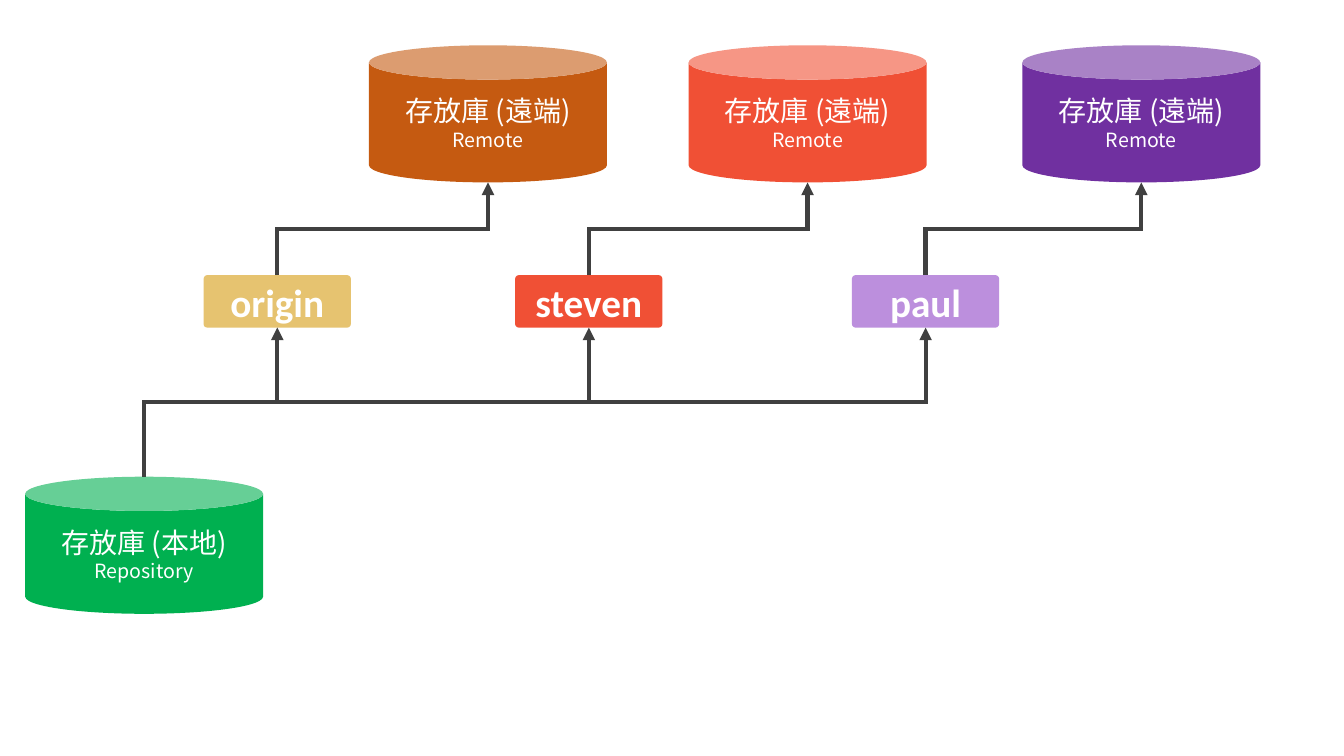
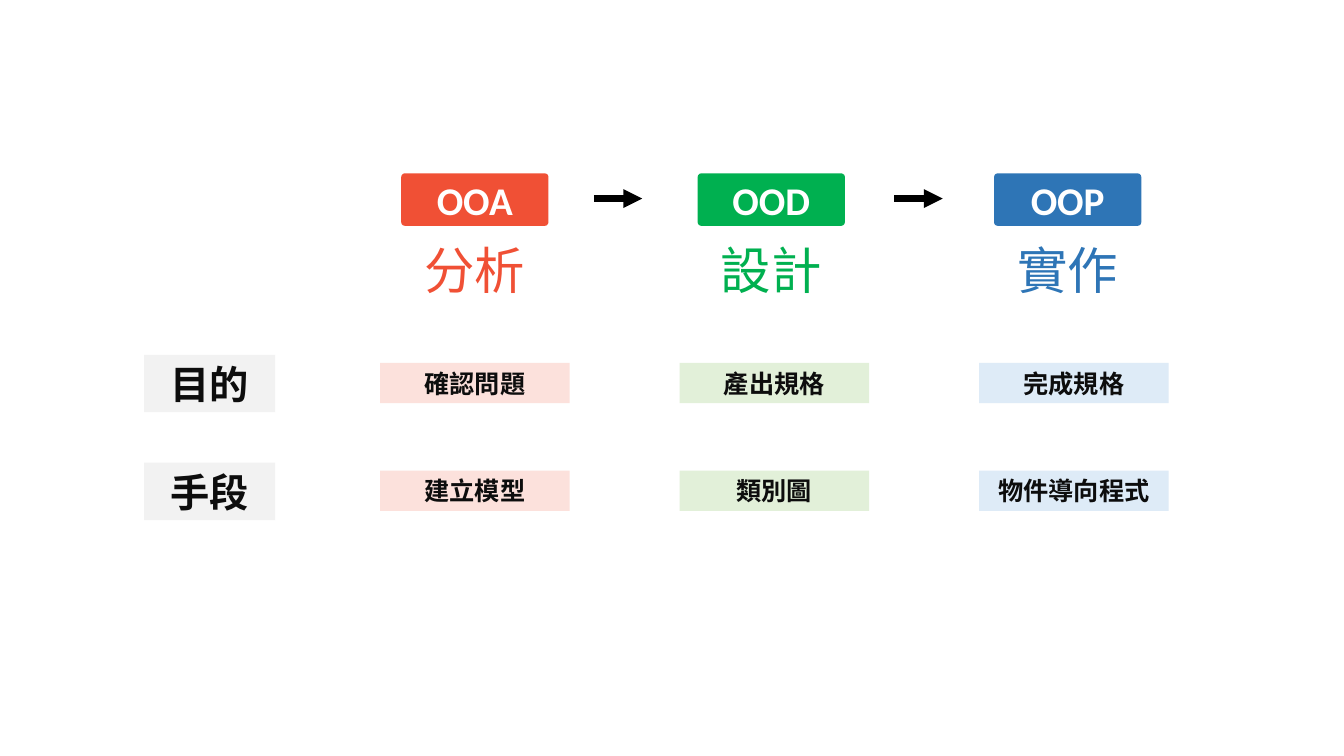
from lxml.etree import SubElement
from pptx import Presentation
from pptx.dml.color import RGBColor
from pptx.enum.shapes import MSO_CONNECTOR, MSO_SHAPE
from pptx.enum.text import MSO_ANCHOR, PP_ALIGN
from pptx.oxml.ns import qn
from pptx.util import Inches, Pt

COLORS = {
    "white": "FFFFFF", "ink": "0D0D0D", "black": "000000", "wire": "404040",
    "red": "F05035", "green": "00B050", "blue": "2E75B6",
    "brown": "C55A11", "gold": "E6C370", "purple": "7030A0", "lilac": "BC8FDD",
    "pale_gray": "F2F2F2", "pale_red": "FCE1DC",
    "pale_green": "E2F0D9", "pale_blue": "DEEBF7",
}
CJK_FONT = "Noto Sans CJK TC"
CAN_WIDTH, CAN_HEIGHT = 2.36, 1.36
TAG_WIDTH, TAG_HEIGHT = 1.46, 0.52

REMOTES = [
    ("origin", "gold", 2.02, "brown", 3.66),
    ("steven", "red", 5.11, "red", 6.83),
    ("paul", "lilac", 8.45, "purple", 10.14),
]
STAGES = [
    ("OOA", "分析", "red", "pale_red"),
    ("OOD", "設計", "green", "pale_green"),
    ("OOP", "實作", "blue", "pale_blue"),
]
ROWS = [
    ("目的", ["確認問題", "產出規格", "完成規格"]),
    ("手段", ["建立模型", "類別圖", "物件導向程式"]),
]


def rgb(name):
    """Look up a palette colour."""
    return RGBColor.from_string(COLORS[name])


def write_text(shape, text, sizes, color, font=CJK_FONT, bold=False):
    """Fill a shape with centred text, one size for each line."""
    frame = shape.text_frame
    frame.word_wrap = True
    frame.vertical_anchor = MSO_ANCHOR.MIDDLE
    para = frame.paragraphs[0]
    para.text = text
    para.alignment = PP_ALIGN.CENTER
    for span, size in zip(para.runs, sizes):
        span.font.size = Pt(size)
        span.font.bold = bold
        span.font.name = font
        span.font.color.rgb = rgb(color)
        east_asian = SubElement(span.font._element, qn("a:ea"))
        east_asian.set("typeface", CJK_FONT)


def add_block(page, kind, left, top, width, height, fill):
    """Add a flat shape without outline or shadow."""
    block = page.shapes.add_shape(
        kind, Inches(left), Inches(top), Inches(width), Inches(height))
    block.shadow.inherit = False
    block.fill.solid()
    block.fill.fore_color.rgb = rgb(fill)
    block.line.fill.background()
    return block


def add_can(page, left, top, fill, title, subtitle):
    """Add a repository cylinder."""
    can = add_block(page, MSO_SHAPE.CAN, left, top, CAN_WIDTH, CAN_HEIGHT, fill)
    write_text(can, f"{title}\v{subtitle}", [20, 14], "white")


def add_tag(page, left, top, fill, text):
    """Add a rounded name tag."""
    tag = add_block(page, MSO_SHAPE.ROUNDED_RECTANGLE,
                    left, top, TAG_WIDTH, TAG_HEIGHT, fill)
    tag.adjustments[0] = 0.067
    write_text(tag, text, [28], "white", "Calibri", True)


def add_arrow(page, kind, start, end, color, width):
    """Add a connector with a triangle head at its end."""
    arrow = page.shapes.add_connector(
        kind, *(Inches(value) for value in (*start, *end)))
    arrow.line.color.rgb = rgb(color)
    arrow.line.width = Pt(width)
    properties = arrow._element.spPr
    outline = properties.find(qn("a:ln"))
    SubElement(outline, qn("a:miter")).set("lim", "800000")
    SubElement(outline, qn("a:tailEnd")).set("type", "triangle")
    SubElement(properties, qn("a:effectLst"))
    return arrow


def add_riser(page, start, end):
    """Add an elbow arrow that leaves upward and arrives upward."""
    middle_x, middle_y = (start[0] + end[0]) / 2, (start[1] + end[1]) / 2
    half_run, half_rise = (end[0] - start[0]) / 2, (start[1] - end[1]) / 2
    riser = add_arrow(page, MSO_CONNECTOR.ELBOW,
                      (middle_x + half_rise, middle_y + half_run),
                      (middle_x - half_rise, middle_y - half_run), "wire", 3)
    riser._element.spPr.find(qn("a:xfrm")).set("rot", "5400000")


def build_remotes(page, left, top):
    """Draw a local repository linked to its named remotes."""
    tag_top, local_top = top + 2.28, top + 4.28
    local_center = left + CAN_WIDTH / 2
    add_can(page, left, local_top, "green", "存放庫 (本地)", "Repository")
    for name, tag_fill, tag_left, can_fill, can_left in REMOTES:
        tag_center = tag_left + TAG_WIDTH / 2
        can_center = can_left + CAN_WIDTH / 2
        add_can(page, can_left, top, can_fill, "存放庫 (遠端)", "Remote")
        add_tag(page, tag_left, tag_top, tag_fill, name)
        add_riser(page, (local_center, local_top),
                  (tag_center, tag_top + TAG_HEIGHT))
        add_riser(page, (tag_center, tag_top), (can_center, top + CAN_HEIGHT))


def build_stage_heads(page, left, top):
    """Draw the three stages with arrows between them."""
    for index, (name, meaning, color, _) in enumerate(STAGES):
        tag_left = left + 2.94 * index
        add_tag(page, tag_left, top, color, name)
        caption = page.shapes.add_textbox(
            Inches(tag_left), Inches(top + 0.6), Inches(TAG_WIDTH), Inches(0.71))
        write_text(caption, meaning, [36], color)
        if index:
            arrow_left = left + 1.91 + 2.98 * (index - 1)
            add_arrow(page, MSO_CONNECTOR.STRAIGHT, (arrow_left, top + 0.25),
                      (arrow_left + 0.48, top + 0.25), "black", 4.5)


def build_stage_rows(page, left, top):
    """Draw the labelled rows below the stages."""
    for row, (heading, entries) in enumerate(ROWS):
        row_top = top + 1.07 * row
        label = add_block(page, MSO_SHAPE.RECTANGLE,
                          left, row_top, 1.3, 0.57, "pale_gray")
        write_text(label, heading, [28], "ink", bold=True)
        for column, (entry, stage) in enumerate(zip(entries, STAGES)):
            cell = add_block(page, MSO_SHAPE.RECTANGLE, left + 2.34 + 2.97 * column,
                             row_top + 0.08, 1.88, 0.4, stage[3])
            write_text(cell, entry, [18], "ink", "Arial", True)


def main():
    """Build and save the deck."""
    deck = Presentation()
    deck.slide_width, deck.slide_height = Inches(13.33), Inches(7.5)
    blank = deck.slide_layouts[6]
    build_remotes(deck.slides.add_slide(blank), 0.25, 0.45)
    stages_page = deck.slides.add_slide(blank)
    build_stage_heads(stages_page, 3.98, 1.72)
    build_stage_rows(stages_page, 1.43, 3.52)
    deck.save("out.pptx")


if __name__ == "__main__":
    main()
